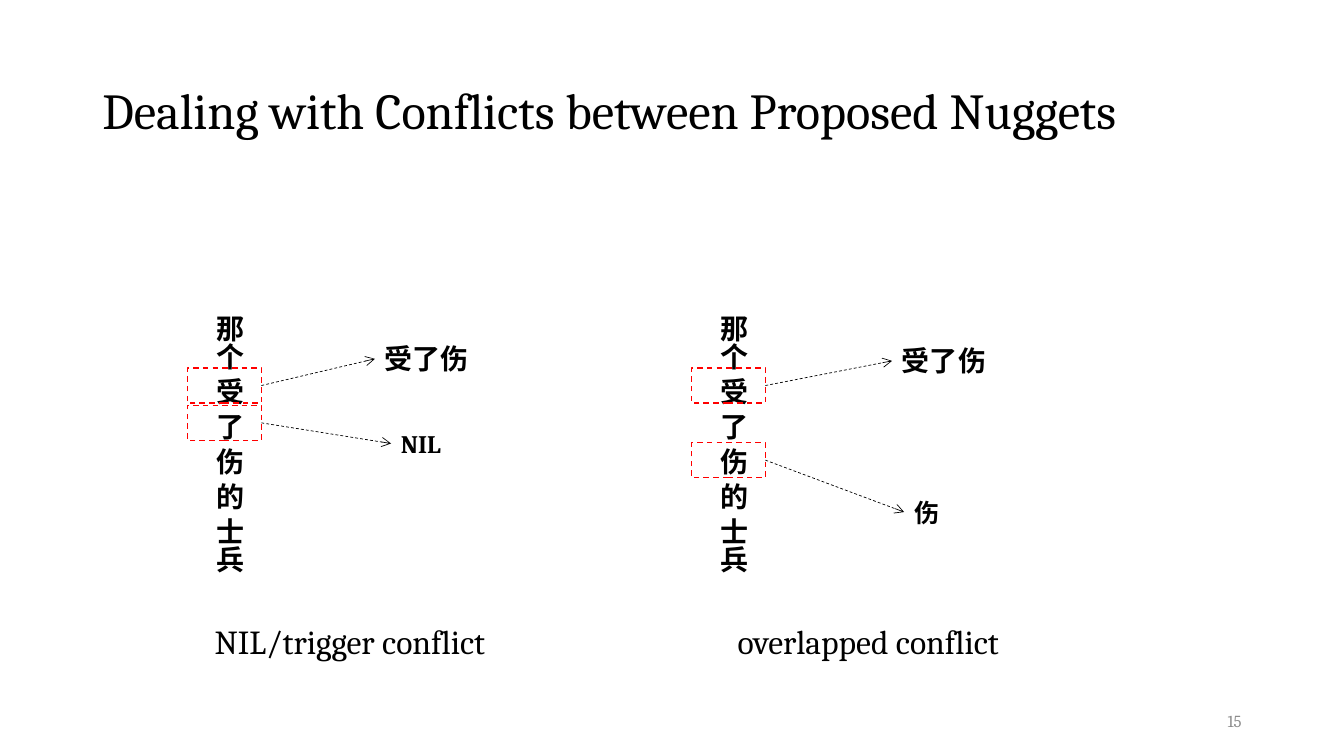
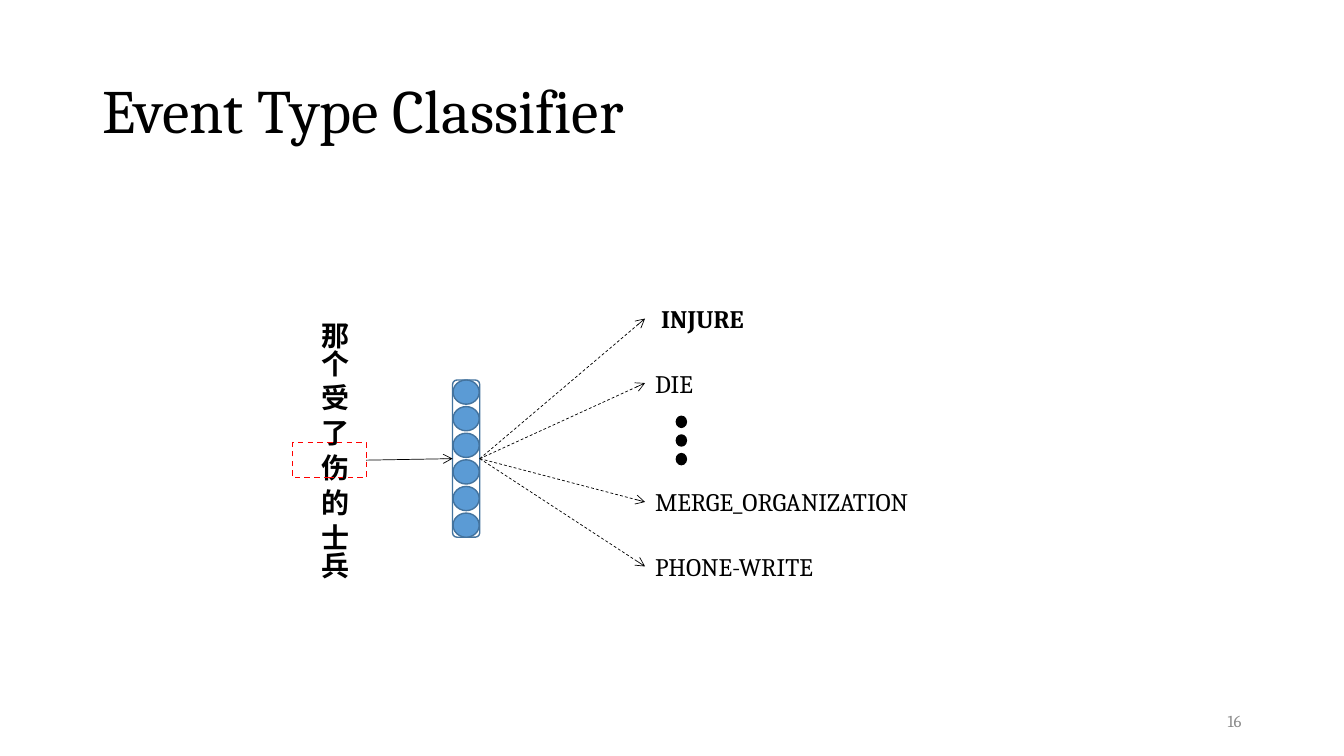
from lxml.etree import SubElement
from pptx import Presentation
from pptx.dml.color import RGBColor
from pptx.enum.dml import MSO_LINE
from pptx.enum.shapes import MSO_CONNECTOR, MSO_SHAPE
from pptx.enum.text import MSO_ANCHOR as Anchor, MSO_AUTO_SIZE as AutoSize, PP_ALIGN as Align
from pptx.oxml.ns import qn
from pptx.util import Inches, Pt

WIDTH, HEIGHT = Inches(13.333), Inches(7.5)
COLUMNS, ROWS = 80, 45
BLACK, GRAY, RED = "000000", "8C8C8C", "FF0000"
BLUE, BLUE_EDGE = "5B9BD5", "43739E"
LEFT_SIDE, RIGHT_SIDE = 1, 3
WORDS = "那个 受 了 伤 的 士兵"
FIRST_NUMBER = 15


def color(hex_string):
    return RGBColor.from_string(hex_string)


class Deck:
    font = "Cambria"

    def __init__(self):
        self.presentation = Presentation()
        self.presentation.slide_width = WIDTH
        self.presentation.slide_height = HEIGHT
        self.slide = None

    def area(self, column, row, columns, rows):
        return (round(column * WIDTH / COLUMNS), round(row * HEIGHT / ROWS),
                round(columns * WIDTH / COLUMNS), round(rows * HEIGHT / ROWS))

    def style(self, paragraph, size, bold=False, ink=BLACK, font=None):
        paragraph.font.name = font or self.font
        paragraph.font.size = Pt(size)
        paragraph.font.bold = bold
        paragraph.font.color.rgb = color(ink)

    def start(self, heading, size):
        slides = self.presentation.slides
        self.slide = slides.add_slide(self.presentation.slide_layouts[5])
        title = self.slide.shapes.title
        title.left, title.top, title.width, title.height = self.area(5.5, 2.4, 69, 8.7)
        frame = title.text_frame
        frame.text = heading
        frame.auto_size = AutoSize.NONE
        frame.vertical_anchor = Anchor.MIDDLE
        line = frame.paragraphs[0]
        line.alignment = Align.LEFT
        line.line_spacing = 0.9
        self.style(line, size)
        number = self.text(str(FIRST_NUMBER + len(slides) - 1), (56.5, 41.7, 18, 2.4),
                           12, ink=GRAY, wrap=True)
        number.text_frame.auto_size = AutoSize.NONE
        number.text_frame.vertical_anchor = Anchor.MIDDLE
        number.text_frame.paragraphs[0].alignment = Align.RIGHT

    def text(self, words, place, size, bold=False, ink=BLACK, font=None, wrap=False):
        box = self.slide.shapes.add_textbox(*self.area(*place))
        frame = box.text_frame
        frame.text = words
        frame.word_wrap = wrap
        frame.auto_size = AutoSize.SHAPE_TO_FIT_TEXT
        self.style(frame.paragraphs[0], size, bold, ink, font)
        return box

    def sentence(self, column, row, font=None):
        box = self.text(WORDS, (column, row, 3.24, 17.04), 20, True, font=font, wrap=True)
        box.text_frame._txBody.bodyPr.set("vert", "eaVert")

    def shape(self, kind, place, edge, fill=None, dashed=False, group=None):
        shapes = group.shapes if group else self.slide.shapes
        shape = shapes.add_shape(kind, *self.area(*place))
        shape.shadow.inherit = False
        if fill:
            shape.fill.solid()
            shape.fill.fore_color.rgb = color(fill)
        else:
            shape.fill.background()
        shape.line.color.rgb = color(edge)
        shape.line.width = Pt(1)
        if dashed:
            shape.line.dash_style = MSO_LINE.DASH
        return shape

    def marker(self, sentence_column, step):
        place = (sentence_column - 0.54, 21.9 + 2.22 * step, 4.4, 2.1)
        return self.shape(MSO_SHAPE.RECTANGLE, place, RED, dashed=True)

    def arrow(self, source, target, dashed=True):
        arrow = self.slide.shapes.add_connector(MSO_CONNECTOR.STRAIGHT, 0, 0, 0, 0)
        arrow.begin_connect(source, RIGHT_SIDE)
        arrow.end_connect(target, LEFT_SIDE)
        arrow.line.color.rgb = color(BLACK)
        arrow.line.width = Pt(0.5)
        if dashed:
            arrow.line.dash_style = MSO_LINE.DASH
        properties = arrow.element.spPr
        SubElement(properties.find(qn("a:ln")), qn("a:tailEnd"), type="arrow")
        SubElement(properties, qn("a:effectLst"))


def conflicts(deck):
    deck.start("Dealing with Conflicts between Proposed Nuggets", 36)
    panels = [
        (11.7, "NIL/trigger conflict", (12.18, 36.66, 18.06, 3), [
            (0, "受了伤", (22.32, 20.04, 6.24, 2.64), 20),
            (1, "NIL", (23.28, 25.2, 3.6, 2.4), 18)]),
        (41.7, "overlapped conflict", (43.32, 36.66, 18.24, 3), [
            (0, "受了伤", (53.1, 20.16, 6.24, 2.64), 20),
            (2, "伤", (53.82, 29.28, 2.7, 2.4), 18)]),
    ]
    for column, caption, caption_place, nuggets in panels:
        deck.sentence(column, 18.18, font="Arial")
        for step, nugget, place, size in nuggets:
            deck.arrow(deck.marker(column, step), deck.text(nugget, place, size, True))
        deck.text(caption, caption_place, 24)


def classifier(deck):
    deck.start("Event Type Classifier", 44)
    deck.sentence(17.94, 18.54)
    trigger = deck.marker(17.94, 2)

    layer = deck.slide.shapes.add_group_shape()
    bar = deck.shape(MSO_SHAPE.ROUNDED_RECTANGLE, (26.94, 22.62, 1.62, 9.36),
                     BLUE_EDGE, group=layer)
    neurons, neuron_height = 6, 1.44
    pitch = (9.36 - neuron_height) / (neurons - 1)
    for i in range(neurons):
        deck.shape(MSO_SHAPE.OVAL, (26.97, 22.62 + i * pitch, 1.56, neuron_height),
                   BLUE_EDGE, BLUE, group=layer)
    deck.arrow(trigger, bar, dashed=False)

    event_types = [("INJURE", 17.76, 6.54), ("DIE", 21.6, 4.38),
                   ("MERGE_ORGANIZATION", 28.68, 17.58), ("PHONE-WRITE", 32.52, 11.52)]
    for event_type, row, columns in event_types:
        chosen = event_type == "INJURE"
        label = deck.text(event_type, (38.4, row, columns, 2.4), 18, chosen)
        if chosen:
            label.text_frame.margin_left = Inches(0.16)
        deck.arrow(bar, label)

    for i in range(3):
        deck.shape(MSO_SHAPE.OVAL, (40.26, 24.78 + 1.11 * i, 0.6, 0.66), BLACK, BLACK)


def main():
    deck = Deck()
    conflicts(deck)
    classifier(deck)
    deck.presentation.save("out.pptx")


if __name__ == "__main__":
    main()
